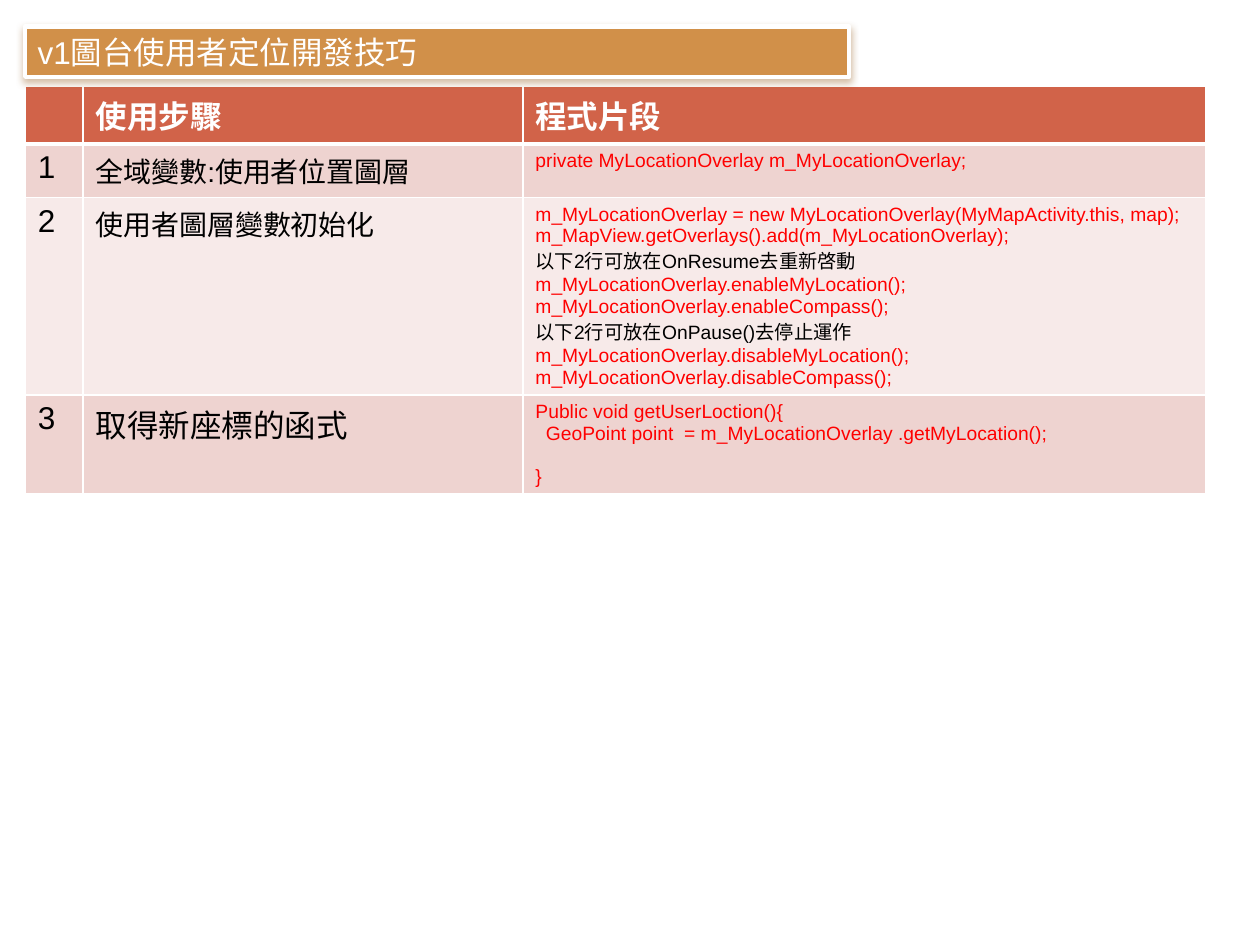
from lxml import etree
from pptx import Presentation
from pptx import util as u
from pptx.dml.color import RGBColor
from pptx.enum import shapes, text
from pptx.oxml import parse_xml
from pptx.oxml.ns import nsdecls, qn

WHITE = RGBColor(0xFF, 0xFF, 0xFF)
BLACK = RGBColor(0, 0, 0)
RED = RGBColor(0xFF, 0, 0)
BRICK = RGBColor(0xD1, 0x63, 0x49)
ROSE = RGBColor(0xEE, 0xD3, 0xD0)
PALE = RGBColor(0xF7, 0xEA, 0xE9)
OCHRE = RGBColor(0xD1, 0x90, 0x49)
SHADE = RGBColor(0x90, 0x56, 0x17)

HEADING = {"size": u.Pt(18), "bold": True, "color": WHITE}
TITLE = {"size": u.Pt(18), "bold": False, "color": WHITE}
LARGE = {"size": u.Pt(18), "bold": False, "color": BLACK}
STEP = {"size": u.Pt(16), "bold": False, "color": BLACK}
CODE = {"size": u.Pt(11), "bold": False, "color": RED}
NOTE = {"size": u.Pt(11), "bold": False, "color": BLACK}

COLUMN_WIDTHS = (33.1, 251.3, 390.2)
ROW_HEIGHTS = (32, 30.5, 113, 55.5)
ROW_FILLS = (BRICK, ROSE, PALE, ROSE)
STEPS = (
    ((), (("使用步驟", HEADING),), (("程式片段", HEADING),)),
    ((("1", LARGE),), (("全域變數:使用者位置圖層", STEP),),
     (("private MyLocationOverlay m_MyLocationOverlay;", CODE),)),
    ((("2", LARGE),), (("使用者圖層變數初始化", STEP),), (
        ("m_MyLocationOverlay = new MyLocationOverlay(MyMapActivity.this, map);\v"
         "m_MapView.getOverlays().add(m_MyLocationOverlay);", CODE),
        ("以下2行可放在OnResume去重新啓動", NOTE),
        ("m_MyLocationOverlay.enableMyLocation();", CODE),
        ("m_MyLocationOverlay.enableCompass();", CODE),
        ("以下2行可放在OnPause()去停止運作", NOTE),
        ("m_MyLocationOverlay.disableMyLocation();\v"
         "m_MyLocationOverlay.disableCompass();", CODE))),
    ((("3", LARGE),), (("取得新座標的函式", LARGE),), (
        ("Public void getUserLoction(){", CODE),
        ("GeoPoint point  = m_MyLocationOverlay .getMyLocation();", CODE),
        ("}", CODE))),
)


def write_lines(frame, lines):
    """Fill a text frame with one formatted paragraph per line."""
    for index, (wording, look) in enumerate(lines):
        line = frame.add_paragraph() if index else frame.paragraphs[0]
        line.text = wording
        line.alignment = text.PP_ALIGN.LEFT
        for run in line.runs:
            run.font.name = "Arial"
            for attribute, value in look.items():
                if attribute == "color":
                    run.font.color.rgb = value
                else:
                    setattr(run.font, attribute, value)


def add_borders(cell, widths):
    """Draw white borders, with widths in points by side."""
    properties = cell._tc.get_or_add_tcPr()
    for side, width in widths.items():
        properties.append(parse_xml(
            f'<a:ln{side} {nsdecls("a")} w="{u.Pt(width)}"><a:solidFill>'
            f'<a:srgbClr val="{WHITE}"/></a:solidFill></a:ln{side}>'))


def add_steps_table(slide):
    """Add the table of steps and code fragments."""
    steps = slide.shapes.add_table(
        len(STEPS), len(COLUMN_WIDTHS), u.Pt(14.4), u.Pt(49),
        u.Pt(sum(COLUMN_WIDTHS)), u.Pt(sum(ROW_HEIGHTS))).table
    for column, width in zip(steps.columns, COLUMN_WIDTHS):
        column.width = u.Pt(width)
    for index, (row, height) in enumerate(zip(steps.rows, ROW_HEIGHTS)):
        row.height = u.Pt(height)
        widths = {"L": 1, "R": 1, "T": 3 if index == 1 else 1,
                  "B": 3 if index == 0 else 1}
        for cell, lines in zip(row.cells, STEPS[index]):
            add_borders(cell, widths)
            cell.fill.solid()
            cell.fill.fore_color.rgb = ROW_FILLS[index]
            write_lines(cell.text_frame, lines)
    return steps


def indent_function_body(steps):
    """Indent the function's statement and open a gap before its end."""
    opening, statement, closing = steps.cell(3, 2).text_frame.paragraphs
    statement._p.get_or_add_pPr().set("marL", str(u.Pt(6)))
    closing.space_before = u.Pt(12.6)


def add_title_bar(slide):
    """Add the ochre title bar with its soft shadow."""
    bar = slide.shapes.add_shape(
        shapes.MSO_SHAPE.RECTANGLE, u.Pt(14.4), u.Pt(15.1), u.Pt(470.9), u.Pt(28.8))
    bar.shadow.inherit = False
    bar.fill.solid()
    bar.fill.fore_color.rgb = OCHRE
    bar.line.color.rgb = WHITE
    bar.line.width = u.Pt(2.5)
    effects = bar._element.spPr.find(qn("a:effectLst"))
    shadow = etree.SubElement(
        effects, qn("a:outerShdw"), blurRad=str(u.Pt(4)), dist=str(u.Pt(2)),
        dir="5400000", rotWithShape="0")
    tint = etree.SubElement(shadow, qn("a:srgbClr"), val=str(SHADE))
    etree.SubElement(tint, qn("a:alpha"), val="38000")
    frame = bar.text_frame
    layout = {"word_wrap": True, "vertical_anchor": text.MSO_ANCHOR.TOP,
              "auto_size": text.MSO_AUTO_SIZE.SHAPE_TO_FIT_TEXT}
    for attribute, value in layout.items():
        setattr(frame, attribute, value)
    write_lines(frame, (("v1圖台使用者定位開發技巧", TITLE),))


def main():
    """Build the slide and save it."""
    deck = Presentation()
    deck.slide_width, deck.slide_height = u.Pt(720), u.Pt(540)
    slide = deck.slides.add_slide(deck.slide_layouts[6])
    indent_function_body(add_steps_table(slide))
    add_title_bar(slide)
    deck.save("out.pptx")


if __name__ == "__main__":
    main()
